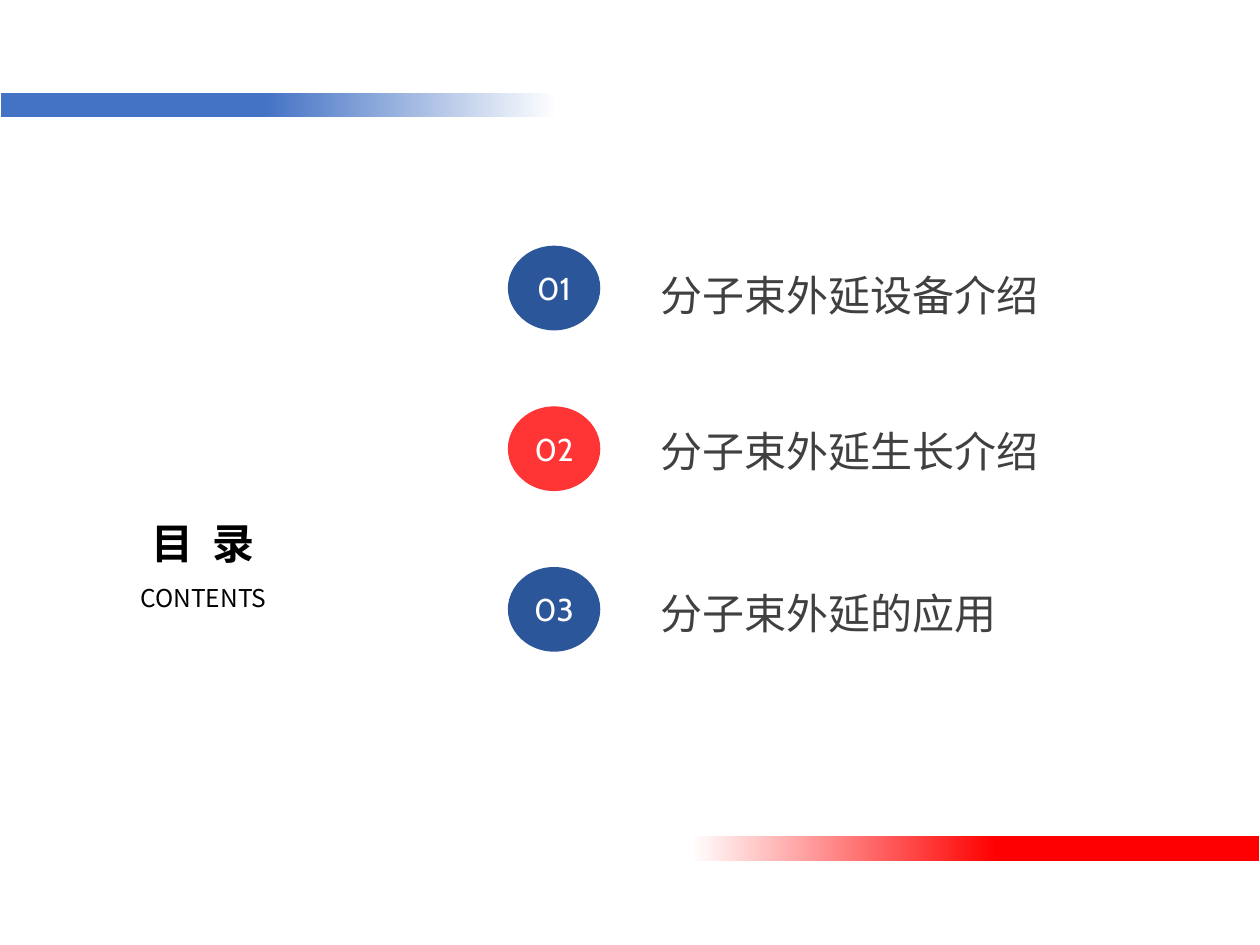
from dataclasses import dataclass

from pptx import Presentation
from pptx.dml.color import RGBColor
from pptx.enum import shapes, text
from pptx.oxml import ns
from pptx.util import Pt


@dataclass(frozen=True)
class Theme:
    white: str = "FFFFFF"
    black: str = "000000"
    label: str = "404040"
    blue: str = "2B579A"
    red: str = "FF3434"
    blue_bar: str = "4472C4"
    red_bar: str = "FF0000"
    cjk_font: str = "Noto Sans CJK SC"
    number_font: str = "Cabin"
    heading: int = 24
    number: int = 18
    subheading: int = 14


THEME = Theme()
CENTER = text.PP_ALIGN.CENTER


def add_span(para, words, font, size, color, bold=False, tracking=None):
    """Add a run; tracking is extra letter spacing in points."""
    span = para.add_run()
    span.text = words
    for name, value in {"name": font, "size": Pt(size), "bold": bold}.items():
        setattr(span.font, name, value)
    span.font.color.rgb = RGBColor.from_string(color)
    props = span.font._element
    east_asian = props.makeelement(ns.qn("a:ea"), {"typeface": font})
    props.find(ns.qn("a:latin")).addnext(east_asian)
    if tracking:
        props.set("spc", str(round(tracking * 100)))


def add_box(page, left, top, width, height, wrap=True):
    box = page.shapes.add_textbox(Pt(left), Pt(top), Pt(width), Pt(height))
    box.text_frame.word_wrap = wrap
    box.text_frame.auto_size = text.MSO_AUTO_SIZE.SHAPE_TO_FIT_TEXT
    return box


def add_fading_bar(page, left, top, width, height, color, fade_end, angle):
    """Draw a bar that fades from its colour to white along the angle."""
    bar = page.shapes.add_shape(
        shapes.MSO_SHAPE.RECTANGLE, Pt(left), Pt(top), Pt(width), Pt(height))
    bar.shadow.inherit = False
    bar.fill.gradient()
    bar.fill.gradient_angle = angle
    stops = ((0.43, color), (fade_end, THEME.white))
    for stop, (position, shade) in zip(bar.fill.gradient_stops, stops):
        stop.position = position
        stop.color.rgb = RGBColor.from_string(shade)
    bar.line.color.rgb = RGBColor.from_string(THEME.white)
    bar.line.width = Pt(1)


def add_title(page, left, top, width, height):
    frame = add_box(page, left, top, width, height, wrap=False).text_frame
    heading, subheading = frame.paragraphs[0], frame.add_paragraph()
    for para in (heading, subheading):
        para.alignment = CENTER
        para.line_spacing = 1.5
    style = (THEME.cjk_font, THEME.heading, THEME.black, True)
    add_span(heading, "目 ", *style, tracking=2.7)
    add_span(heading, "录", *style)
    add_span(subheading, "CONTENTS", THEME.cjk_font, THEME.subheading, THEME.black)


def add_badge(page, left, top, width, height, number, color):
    badge = page.shapes.add_shape(
        shapes.MSO_SHAPE.OVAL, Pt(left), Pt(top), Pt(width), Pt(height))
    badge.shadow.inherit = False
    badge.fill.solid()
    badge.fill.fore_color.rgb = RGBColor.from_string(color)
    badge.line.fill.background()
    frame = badge.text_frame
    frame.word_wrap = False
    frame.vertical_anchor = text.MSO_ANCHOR.MIDDLE
    para = frame.paragraphs[0]
    para.alignment = CENTER
    add_span(para, f"{number:02d}", THEME.number_font, THEME.number, THEME.white)


def add_topics(page, left, top, width, pitch, topics):
    """Stack numbered topics; each gives its colour, label and label drop."""
    label_left = left + 79.9
    for index, (color, label, drop) in enumerate(topics):
        row_top = top + index * pitch
        add_badge(page, left, row_top, 52.8, 48.4, index + 1, color)
        box = add_box(page, label_left, row_top + drop,
                      left + width - label_left, 36)
        add_span(box.text_frame.paragraphs[0], label,
                 THEME.cjk_font, THEME.heading, THEME.label)


def main():
    deck = Presentation()
    deck.slide_width, deck.slide_height = Pt(720), Pt(540)
    page = deck.slides.add_slide(deck.slide_layouts[6])
    add_fading_bar(page, 0, 52.6, 350, 15, THEME.blue_bar, 0.91, 0)
    add_fading_bar(page, 370, 477.4, 350, 15, THEME.red_bar, 0.93, 180)
    add_title(page, 68.4, 278, 95.8, 71.3)
    add_topics(page, 290.2, 140.4, 357, 91.8, (
        (THEME.blue, "分子束外延设备介绍", 10.1),
        (THEME.red, "分子束外延生长介绍", 7.6),
        (THEME.blue, "分子束外延的应用", 7.9),
    ))
    deck.save("out.pptx")


if __name__ == "__main__":
    main()
